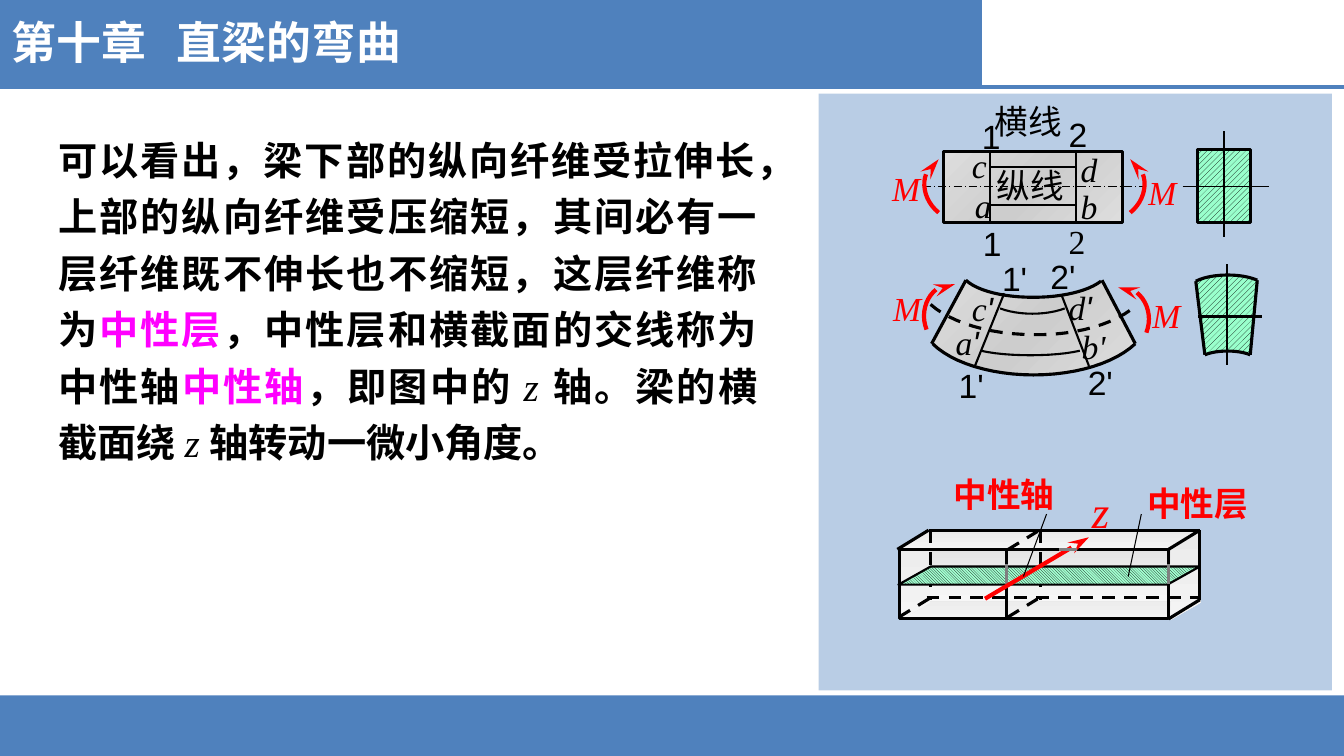
from copy import deepcopy
from dataclasses import dataclass

from lxml import etree
from pptx import Presentation
from pptx import util as u
from pptx.dml.color import RGBColor
from pptx.enum import dml, shapes, text
from pptx.oxml.ns import qn

BLUE = RGBColor(0x4F, 0x81, 0xBD)
PANEL = RGBColor(0xB9, 0xCD, 0xE5)
WHITE = RGBColor(0xFF, 0xFF, 0xFF)
BLACK = RGBColor(0, 0, 0)
RED = RGBColor(0xFF, 0, 0)
MAGENTA = RGBColor(0xFF, 0, 0xFF)
GRAY = RGBColor(0x80, 0x80, 0x80)
MINT = RGBColor(0x99, 0xFF, 0xCC)
LAYER_MINT = RGBColor(0xA3, 0xFF, 0xD1)
STEEL, STEEL_DARK = RGBColor(0xDD, 0xDD, 0xDD), RGBColor(0xCD, 0xCD, 0xCD)
PALE, PALER = RGBColor(0xEA, 0xEA, 0xEA), RGBColor(0xF4, 0xF4, 0xF4)
BACK_LIGHT = RGBColor(0xF7, 0xF7, 0xF7)
TIMES, ARIAL, CJK = "Times New Roman", "Arial", "Noto Sans CJK SC"
DASH = dml.MSO_LINE.DASH
RECT = shapes.MSO_SHAPE.RECTANGLE
SLANT = shapes.MSO_SHAPE.PARALLELOGRAM
Point = tuple[float, float]


@dataclass
class Stroke:
    width: float = 2.25
    color: RGBColor = BLACK
    dash: dml.MSO_LINE | None = None
    arrow: bool = False


@dataclass
class Label:
    words: str
    left: float
    top: float
    width: float = 0.56
    height: float = 0.5
    font: str = TIMES
    color: RGBColor = BLACK
    italic: bool = False
    bold: bool = False
    size: float = 24
    prime: bool = False
    wrap: bool = True


EDGE, MEDIUM, THIN = Stroke(), Stroke(1.5), Stroke(0.75)
HIDDEN, CUT = Stroke(dash=DASH), Stroke(color=GRAY)
MOMENT = Stroke(3, RED, arrow=True)

deck = Presentation()
deck.slide_width, deck.slide_height = u.Inches(13.33), u.Inches(7.5)
page = deck.slides.add_slide(deck.slide_layouts[6])


def apply_stroke(item, stroke: Stroke | None) -> None:
    if stroke is None:
        item.line.fill.background()
        return
    item.line.color.rgb = stroke.color
    item.line.width = u.Pt(stroke.width)
    if stroke.dash is not None:
        item.line.dash_style = stroke.dash
    if stroke.arrow:
        outline = item._element.spPr.find(qn("a:ln"))
        etree.SubElement(outline, qn("a:tailEnd"), type="stealth", w="med", len="lg")


def line(start: Point, end: Point, stroke: Stroke = EDGE) -> None:
    ends = [u.Inches(value) for value in (*start, *end)]
    item = page.shapes.add_connector(shapes.MSO_CONNECTOR.STRAIGHT, *ends)
    apply_stroke(item, stroke)
    etree.SubElement(item._element.spPr, qn("a:effectLst"))


def preset(kind, left: float, top: float, width: float, height: float,
           stroke: Stroke | None = None, slant: float | None = None):
    item = page.shapes.add_shape(kind, *map(u.Inches, (left, top, width, height)))
    item.shadow.inherit = False
    item.fill.background()
    apply_stroke(item, stroke)
    if slant is not None:
        item.adjustments[0] = slant
    return item


def solid(item, color: RGBColor) -> None:
    item.fill.solid()
    item.fill.fore_color.rgb = color


def gradient(item, colors: list[RGBColor], angle: float) -> None:
    """Fill with evenly spaced stops; the angle runs clockwise."""
    item.fill.gradient()
    item.fill.gradient_angle = (360 - angle) % 360
    stops = item._element.spPr.find(qn("a:gradFill")).find(qn("a:gsLst"))
    for _ in colors[2:]:
        stops.append(deepcopy(stops[-1]))
    for index, (stop, color) in enumerate(zip(item.fill.gradient_stops, colors)):
        stop.position = index / (len(colors) - 1)
        stop.color.rgb = color


def hatch(item, pattern, back: RGBColor) -> None:
    item.fill.patterned()
    item.fill.pattern = pattern
    item.fill.fore_color.rgb = BLACK
    item.fill.back_color.rgb = back


def bezier(knots: list[Point], steps: int = 12) -> list[Point]:
    """Sample a chain of cubic curves that share their end points."""
    points = [knots[0]]
    for first in range(0, len(knots) - 1, 3):
        a, b, c, d = knots[first:first + 4]
        for step in range(1, steps + 1):
            t = step / steps
            s = 1 - t
            points.append(tuple(
                s**3 * a[k] + 3 * s * s * t * b[k] + 3 * s * t * t * c[k] + t**3 * d[k]
                for k in (0, 1)))
    return points


def outline(points: list[Point], stroke: Stroke | None, close: bool = False):
    spots = [(u.Inches(x), u.Inches(y)) for x, y in points]
    builder = page.shapes.build_freeform(*spots[0])
    builder.add_line_segments(spots[1:], close=close)
    item = builder.convert_to_shape()
    item.shadow.inherit = False
    item.fill.background()
    apply_stroke(item, stroke)
    return item


def mirror(points: list[Point], axis: float, drop: float = 0) -> list[Point]:
    return [(2 * axis - x, y + drop) for x, y in points]


def write(label: Label):
    box = page.shapes.add_textbox(
        *map(u.Inches, (label.left, label.top, label.width, label.height)))
    box.text_frame.word_wrap = label.wrap
    para = box.text_frame.paragraphs[0]
    if label.words:
        para.add_run().text = label.words
    if label.prime:
        mark = para.add_run()
        mark.text, mark.font.name = "'", ARIAL
    font = para.font
    font.size, font.name = u.Pt(label.size), label.font
    font.bold, font.italic = label.bold, label.italic
    font.color.rgb = label.color
    etree.SubElement(para._p.pPr.find(qn("a:defRPr")), qn("a:ea"), typeface=CJK)
    return para


def draw_frame() -> None:
    for color, *place in ((BLUE, 0, 6.9, 13.33, 0.6), (BLUE, 0, 0, 9.74, 0.86),
                          (PANEL, 8.12, 0.93, 5.09, 5.92)):
        solid(preset(RECT, *place), color)
    line((0, 0.86), (13.33, 0.86), Stroke(3, BLUE))
    write(Label("第十章   直梁的弯曲", 0.02, 0.1, 4.19, 0.64, CJK, WHITE,
                bold=True, size=32, wrap=False))


def draw_straight_beam() -> None:
    gradient(preset(RECT, 9.36, 1.5, 1.77, 0.71, EDGE), [STEEL, STEEL_DARK, STEEL], 45)
    line((9.15, 1.85), (11.34, 1.85), Stroke(0.75, dash=dml.MSO_LINE.LONG_DASH_DOT))
    for x in (9.82, 10.67):
        line((x, 1.5), (x, 2.21), MEDIUM)
    for y in (1.66, 2.03):
        line((9.82, y), (10.67, y), MEDIUM)
    section = preset(RECT, 11.88, 1.48, 0.52, 0.73, EDGE)
    hatch(section, dml.MSO_PATTERN.WIDE_UPWARD_DIAGONAL, MINT)
    line((11.73, 1.85), (12.59, 1.85), THIN)
    line((12.14, 1.3), (12.14, 2.35), THIN)
    moment = bezier([(9.31, 2.11), (9.16, 1.99), (9.12, 1.78), (9.23, 1.65),
                     (9.25, 1.62), (9.28, 1.59), (9.31, 1.58)])
    outline(moment, MOMENT)
    outline(mirror(moment, 10.26), MOMENT)


def draw_bent_beam() -> None:
    top = bezier([(9.58, 2.78), (9.7, 2.89), (9.96, 2.95), (10.25, 2.95),
                  (10.53, 2.95), (10.79, 2.89), (10.92, 2.79)])
    bottom = bezier([(9.25, 3.41), (9.44, 3.6), (9.83, 3.72), (10.25, 3.72),
                     (10.68, 3.72), (11.06, 3.6), (11.26, 3.41)])
    neutral = bezier([(9.23, 3.02), (9.43, 3.2), (9.82, 3.32), (10.25, 3.32),
                      (10.68, 3.33), (11.07, 3.21), (11.27, 3.03)])
    upper = bezier([(9.92, 3.06), (10.1, 3.13), (10.38, 3.13), (10.56, 3.06)])
    lower = bezier([(9.73, 3.48), (9.98, 3.54), (10.46, 3.54), (10.71, 3.48)])
    body = outline(top + bottom[::-1], None, close=True)
    gradient(body, [STEEL, STEEL_DARK, STEEL], 45)
    for points, stroke in ((top, EDGE), (neutral, HIDDEN), (bottom, EDGE),
                           (upper, MEDIUM), (lower, MEDIUM)):
        outline(points, stroke)
    line((10.93, 2.78), (11.26, 3.41))
    line((9.58, 2.78), (9.24, 3.41))
    line((10.53, 2.93), (10.8, 3.63), MEDIUM)
    line((9.96, 2.91), (9.67, 3.63), MEDIUM)
    moment = bezier([(9.19, 3.27), (9.12, 3.09), (9.2, 2.89), (9.36, 2.83),
                     (9.39, 2.82), (9.43, 2.81), (9.47, 2.82)])
    outline(moment, MOMENT)
    outline(mirror(moment, 10.28, 0.03), MOMENT)


def draw_bent_section() -> None:
    top = bezier([(11.86, 2.79), (12.02, 2.71), (12.31, 2.71), (12.47, 2.78)])
    bottom = bezier([(11.95, 3.52), (12.07, 3.47), (12.28, 3.47), (12.4, 3.52)])
    section = outline(top + bottom[::-1], None, close=True)
    hatch(section, dml.MSO_PATTERN.WIDE_UPWARD_DIAGONAL, MINT)
    line((12.17, 2.62), (12.17, 3.62), MEDIUM)
    line((11.88, 3.14), (12.52, 3.14), MEDIUM)
    line(top[0], bottom[0])
    line(top[-1], bottom[-1])
    outline(bottom, EDGE)
    outline(top, EDGE)


def draw_neutral_layer() -> None:
    def side_face(left: float) -> None:
        face = preset(SLANT, left, 5.56, 0.88, 0.3, slant=0.57)
        face.rotation = 270
        face._element.spPr.find(qn("a:xfrm")).set("flipH", "1")
        gradient(face, [PALE, PALER], 0)

    gradient(preset(SLANT, 8.92, 5.93, 2.99, 0.2, slant=1.59), [PALE, PALER], 90)
    side_face(8.64)
    gradient(preset(RECT, 9.22, 5.27, 2.67, 0.69), [STEEL, BACK_LIGHT], 90)
    side_face(11.32)
    gradient(preset(SLANT, 8.91, 5.26, 2.99, 0.2, slant=1.59), [PALE, PALER], 90)
    depth, rise = 0.31, 0.19
    for x, y, stroke in ((8.9, 5.45, EDGE), (11.59, 5.45, EDGE), (11.59, 6.14, EDGE),
                         (8.92, 6.12, HIDDEN), (10, 6.12, HIDDEN), (10, 5.45, HIDDEN)):
        line((x, y), (x + depth, y - rise), stroke)
    for x, stroke in ((11.9, EDGE), (9.23, HIDDEN), (10.32, HIDDEN)):
        line((x, 5.26), (x, 5.95), stroke)
    line((9.21, 5.26), (11.9, 5.26))
    line((9.19, 5.93), (11.88, 5.93), HIDDEN)
    line((9.98, 5.45), (9.98, 6.14))
    preset(RECT, 8.92, 5.45, 2.67, 0.69, EDGE)
    layer = preset(SLANT, 8.91, 5.62, 2.99, 0.18, MEDIUM, 1.78)
    hatch(layer, dml.MSO_PATTERN.LIGHT_DOWNWARD_DIAGONAL, LAYER_MINT)
    for x in (9.98, 11.59):
        line((x, 5.6), (x, 5.79), CUT)
    line((9.77, 5.94), (10.8, 5.33), MOMENT)
    line((11.19, 5.72), (11.32, 5.1), THIN)
    line((10.15, 5.72), (10.38, 5.1), THIN)
    line((10.5, 5.45), (10.68, 5.45), CUT)


def draw_labels() -> None:
    for words, left, top, font in (
            ("1", 9.64, 1.1, ARIAL), ("1", 9.65, 2.16, ARIAL), ("2", 10.5, 1.08, ARIAL),
            ("2", 10.5, 2.14, TIMES), ("1'", 9.84, 2.51, ARIAL), ("1'", 9.41, 3.57, ARIAL),
            ("2'", 10.32, 2.49, ARIAL), ("2'", 10.69, 3.54, ARIAL)):
        write(Label(words, left, top, 0.48, 0.45, font))
    for words, left, top, prime in (
            ("a", 9.57, 1.79, False), ("b", 10.62, 1.8, False), ("c", 9.54, 1.39, False),
            ("d", 10.62, 1.43, False), ("c", 9.54, 2.81, True), ("a", 9.38, 3.14, True),
            ("d", 10.5, 2.8, True), ("b'", 10.63, 3.18, False)):
        write(Label(words, left, top, italic=True, prime=prime))
    for left, top in ((8.76, 2.81), (11.33, 2.88), (11.29, 1.66), (8.75, 1.62)):
        write(Label("M", left, top, 0.58, 0.44, color=RED, italic=True))
    write(Label("横线", 9.77, 0.95, 1.02, 0.46))
    write(Label("纵线", 9.79, 1.59, 0.94))
    for words, left, top in (("中性层", 11.28, 4.74), ("中性轴", 9.36, 4.65)):
        write(Label(words, left, top, 1.35, 0.42, ARIAL, RED, bold=True))
    write(Label("z", 10.73, 4.75, 0.41, 0.63, color=RED, italic=True, size=32))


def draw_explanation() -> None:
    para = write(Label("", 0.48, 1.21, 7.13, 4.06, bold=True, size=28))
    para.alignment = text.PP_ALIGN.JUSTIFY
    para.line_spacing = 1.2
    for words in ("可以看出，梁下部的纵向纤维受拉伸长，上部的纵向纤维受压缩短，"
                  "其间必有一层纤维既不伸长也不缩短，这层纤维称为",
                  "中性层", "，中性层和横截面的交线称为中性轴", "中性轴", "，即图中的 ",
                  "z ", "轴。梁的横截面绕 ", "z ", "轴转动一微小角度。"):
        span = para.add_run()
        span.text = words
        if words in ("中性层", "中性轴"):
            span.font.color.rgb = MAGENTA
        elif words == "z ":
            span.font.bold, span.font.italic = False, True


def main() -> None:
    draw_frame()
    draw_bent_beam()
    draw_straight_beam()
    draw_bent_section()
    draw_neutral_layer()
    draw_labels()
    draw_explanation()
    deck.save("out.pptx")


if __name__ == "__main__":
    main()
